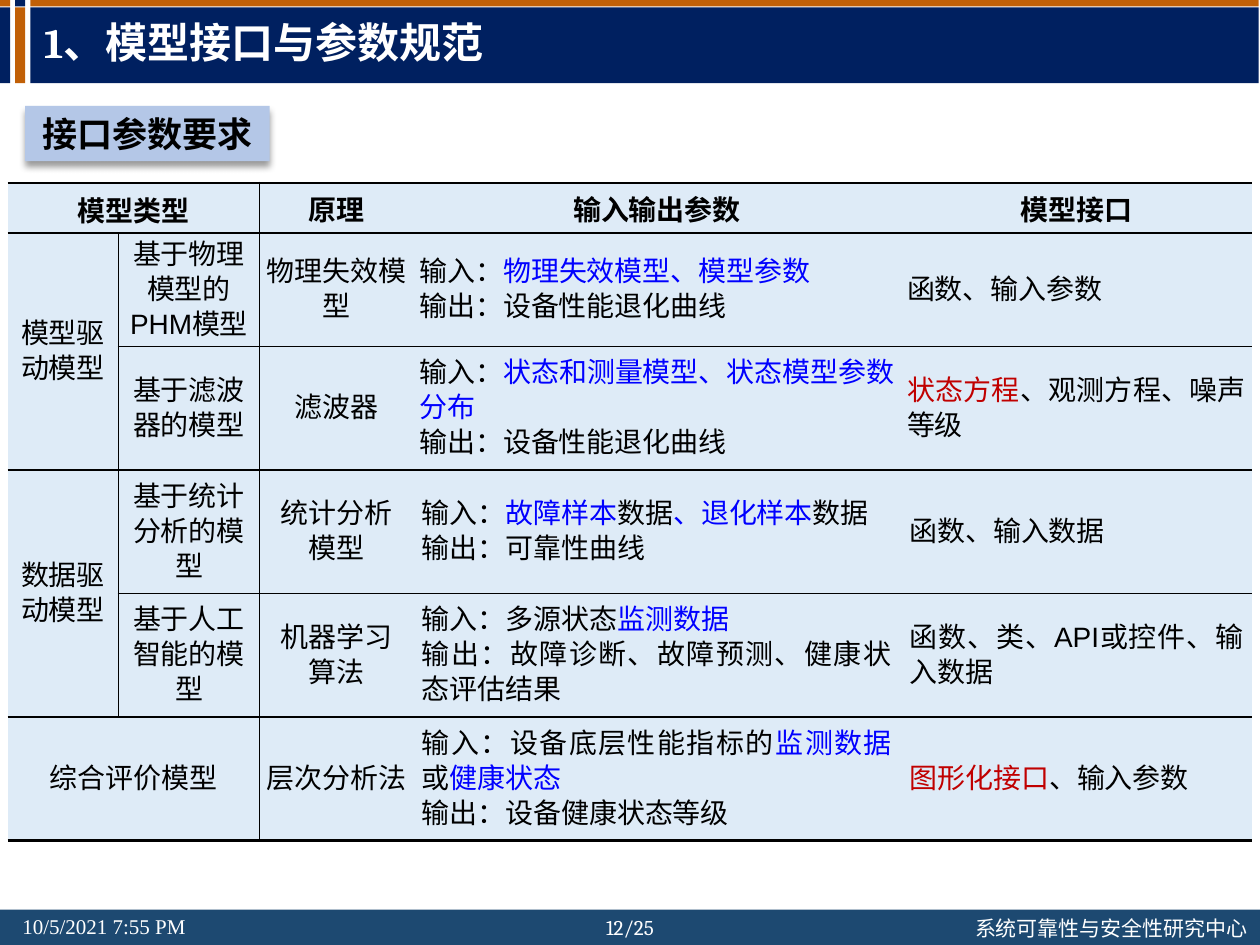
from dataclasses import dataclass
from typing import NamedTuple

from lxml.etree import SubElement
from pptx import Presentation
from pptx.dml.color import RGBColor
from pptx.enum.shapes import MSO_SHAPE
from pptx.enum.text import MSO_ANCHOR, PP_ALIGN
from pptx.oxml.ns import qn
from pptx.util import Inches, Pt

HUES = {
    "navy": "002060", "orange": "C16007", "steel": "1D4971",
    "pale": "DEEBF7", "label": "B4C7E7", "white": "FFFFFF",
    "black": "000000", "blue": "0000FF", "red": "C00000",
}
CJK = "Noto Sans CJK SC"
COLS = [0.88, 1.12, 1.22, 3.87, 2.79]
ROWS = [0.4, 0.9] + [0.98] * 4


class Span(NamedTuple):
    text: str
    hue: str = "black"


class Bar(NamedTuple):
    left: float
    top: float
    width: float
    height: float
    hue: str


class Note(NamedTuple):
    text: str
    left: float
    top: float
    width: float
    face: str
    align: PP_ALIGN = PP_ALIGN.LEFT
    wrap: bool = False


@dataclass
class Cell:
    row: int
    col: int
    lines: list
    side: float
    pad: float = 0
    down: int = 1
    over: int = 1


def blue(text: str) -> Span:
    return Span(text, "blue")


def red(text: str) -> Span:
    return Span(text, "red")


def rgb(hue: str) -> RGBColor:
    return RGBColor.from_string(HUES[hue])


def write(para, spans: list, face: str, size: float, bold: bool = False) -> None:
    look = {"name": face, "size": Pt(size), "bold": bold}
    for span in spans:
        run = para.add_run()
        run.text = span.text
        run.font.color.rgb = rgb(span.hue)
        for key, value in look.items():
            setattr(run.font, key, value)
        SubElement(run.font._element, qn("a:ea"), typeface=CJK)


def draw_bar(slide, bar: Bar):
    shape = slide.shapes.add_shape(MSO_SHAPE.RECTANGLE, *map(Inches, bar[:4]))
    shape.shadow.inherit = False
    shape.fill.solid()
    shape.fill.fore_color.rgb = rgb(bar.hue)
    shape.line.fill.background()
    return shape


def draw_note(slide, note: Note) -> None:
    place = map(Inches, (note.left, note.top, note.width, 0.3))
    frame = slide.shapes.add_textbox(*place).text_frame
    frame.word_wrap = note.wrap
    para = frame.paragraphs[0]
    para.alignment = note.align
    write(para, [Span(note.text, "white")], note.face, 12)


def draw_label(slide, text: str) -> None:
    shape = draw_bar(slide, Bar(0.2, 0.84, 1.94, 0.44, "label"))
    effects = shape._element.spPr.find(qn("a:effectLst"))
    shade = SubElement(effects, qn("a:outerShdw"), blurRad=str(Pt(4)),
                       dist=str(Pt(3)), dir="5400000", rotWithShape="0")
    tint = SubElement(shade, qn("a:srgbClr"), val=HUES["black"])
    SubElement(tint, qn("a:alpha"), val="40000")
    para = shape.text_frame.paragraphs[0]
    para.alignment = PP_ALIGN.CENTER
    write(para, [Span(text)], "Times New Roman", 20, True)


def rule_cell(box, cell: Cell) -> None:
    """Rule all row edges, but only the edges of the two type columns."""
    last = cell.row + cell.down == len(ROWS)
    edges = {
        "L": 1 if cell.col in (1, 2) else 0,
        "R": 1 if cell.col < 2 else 0,
        "T": 1.5 if cell.row == 0 else 1,
        "B": 1.5 if last else 1,
    }
    props = box._tc.get_or_add_tcPr()
    for edge, width in edges.items():
        line = SubElement(props, qn(f"a:ln{edge}"), w=str(Pt(width)))
        if width:
            fill = SubElement(line, qn("a:solidFill"))
            SubElement(fill, qn("a:srgbClr"), val=HUES["black"])
        else:
            SubElement(line, qn("a:noFill"))


def fill_cell(table, cell: Cell) -> None:
    box = table.cell(cell.row, cell.col)
    if cell.down * cell.over > 1:
        box.merge(table.cell(cell.row + cell.down - 1, cell.col + cell.over - 1))
    rule_cell(box, cell)
    look = {
        "margin_left": Inches(cell.side), "margin_right": Inches(cell.side),
        "margin_top": Inches(cell.pad), "margin_bottom": Inches(cell.pad),
        "vertical_anchor": MSO_ANCHOR.MIDDLE,
    }
    for key, value in look.items():
        setattr(box, key, value)
    head = cell.row == 0
    for i, spans in enumerate(cell.lines):
        para = box.text_frame.add_paragraph() if i else box.text_frame.paragraphs[0]
        mid = head or cell.col < 3
        para.alignment = PP_ALIGN.CENTER if mid else PP_ALIGN.JUSTIFY
        if not head:
            para.line_spacing = Pt(20)
        write(para, spans, "Arial", 16, head)


def draw_table(slide, cells: list) -> None:
    place = map(Inches, (0.06, 1.45, sum(COLS), sum(ROWS)))
    table = slide.shapes.add_table(len(ROWS), len(COLS), *place).table
    table.horz_banding = table.first_row = False
    for col, width in zip(table.columns, COLS):
        col.width = Inches(width)
    for row, height in zip(table.rows, ROWS):
        row.height = Inches(height)
    for cell in cells:
        fill_cell(table, cell)
    for box in table.iter_cells():
        box.fill.solid()
        box.fill.fore_color.rgb = rgb("pale")


def set_title(slide, text: str) -> None:
    title = slide.shapes.title
    title.left, title.top, title.width, title.height = map(Inches, (0.25, 0.06, 8.87, 0.6))
    slide.shapes._spTree.append(title._element)  # in front of the bars
    title.text_frame.vertical_anchor = MSO_ANCHOR.MIDDLE
    para = title.text_frame.paragraphs[0]
    para.alignment = PP_ALIGN.LEFT
    para.line_spacing = 0.9
    write(para, [Span(text, "white")], "Cambria", 24, True)


BARS = [Bar(0, 7.22, 10, 0.28, "steel")]
for left, width, low, high in [(0.24, 9.75, "navy", "orange"),
                               (0.12, 0.08, "orange", "navy"),
                               (0, 0.08, "navy", "orange")]:
    BARS += [Bar(left, 0.06, width, 0.6, low), Bar(left, 0, width, 0.05, high)]

NOTES = [
    Note("10/5/2021 7:55 PM", 0.08, 7.2, 1.63, "Times New Roman"),
    Note("系统可靠性与安全性研究中心", 7.64, 7.22, 2.4, CJK),
    Note("12/25", 4.65, 7.21, 0.7, "Cambria", PP_ALIGN.CENTER, True),
]

HEADS = ["原理", "输入输出参数", "模型接口"]
CURVE = [Span("输出：设备性能退化曲线")]
BODY = [
    ("基于物理模型的PHM模型", "物理失效模型",
     [[Span("输入："), blue("物理失效模型、模型参数")], CURVE],
     [Span("函数、输入参数")]),
    ("基于滤波器的模型", "滤波器",
     [[Span("输入："), blue("状态和测量模型、状态模型参数分布")], CURVE],
     [red("状态方程"), Span("、观测方程、噪声等级")]),
    ("基于统计分析的模型", "统计分析模型",
     [[Span("输入："), blue("故障样本"), Span("数据"), blue("、退化样本"), Span("数据")],
      [Span("输出：可靠性曲线")]],
     [Span("函数、输入数据")]),
    ("基于人工智能的模型", "机器学习算法",
     [[Span("输入：多源状态"), blue("监测数据")],
      [Span("输出：故障诊断、故障预测、健康状态评估结果")]],
     [Span("函数、类、API或控件、输入数据")]),
    ("", "层次分析法",
     [[Span("输入：设备底层性能指标的"), blue("监测数据"), Span("或"), blue("健康状态")],
      [Span("输出：设备健康状态等级")]],
     [red("图形化接口"), Span("、输入参数")]),
]

CELLS = [
    Cell(0, 0, [[Span("模型类型")]], 0.1, 0.05, over=2),
    Cell(1, 0, [[Span("模型驱动模型")]], 0.1, 0.05, down=2),
    Cell(3, 0, [[Span("数据驱动模型")]], 0.07, down=2),
    Cell(5, 0, [[Span("综合评价模型")]], 0.1, 0.05, over=2),
]
CELLS += [Cell(0, i, [[Span(head)]], 0.09, 0.04) for i, head in enumerate(HEADS, 2)]
for i, (kind, basis, flow, port) in enumerate(BODY, 1):
    side = 0.05 if i < 3 else 0.07
    if kind:
        CELLS.append(Cell(i, 1, [[Span(kind)]], side))
    CELLS += [Cell(i, 2, [[Span(basis)]], 0.05 if i == 5 else side),
              Cell(i, 3, flow, side), Cell(i, 4, [port], side)]


def main() -> None:
    deck = Presentation()
    deck.slide_width, deck.slide_height = Inches(10), Inches(7.5)
    slide = deck.slides.add_slide(deck.slide_layouts[5])
    for bar in BARS:
        draw_bar(slide, bar)
    for note in NOTES:
        draw_note(slide, note)
    draw_table(slide, CELLS)
    draw_label(slide, "接口参数要求")
    set_title(slide, "1、模型接口与参数规范")
    deck.save("out.pptx")


if __name__ == "__main__":
    main()
